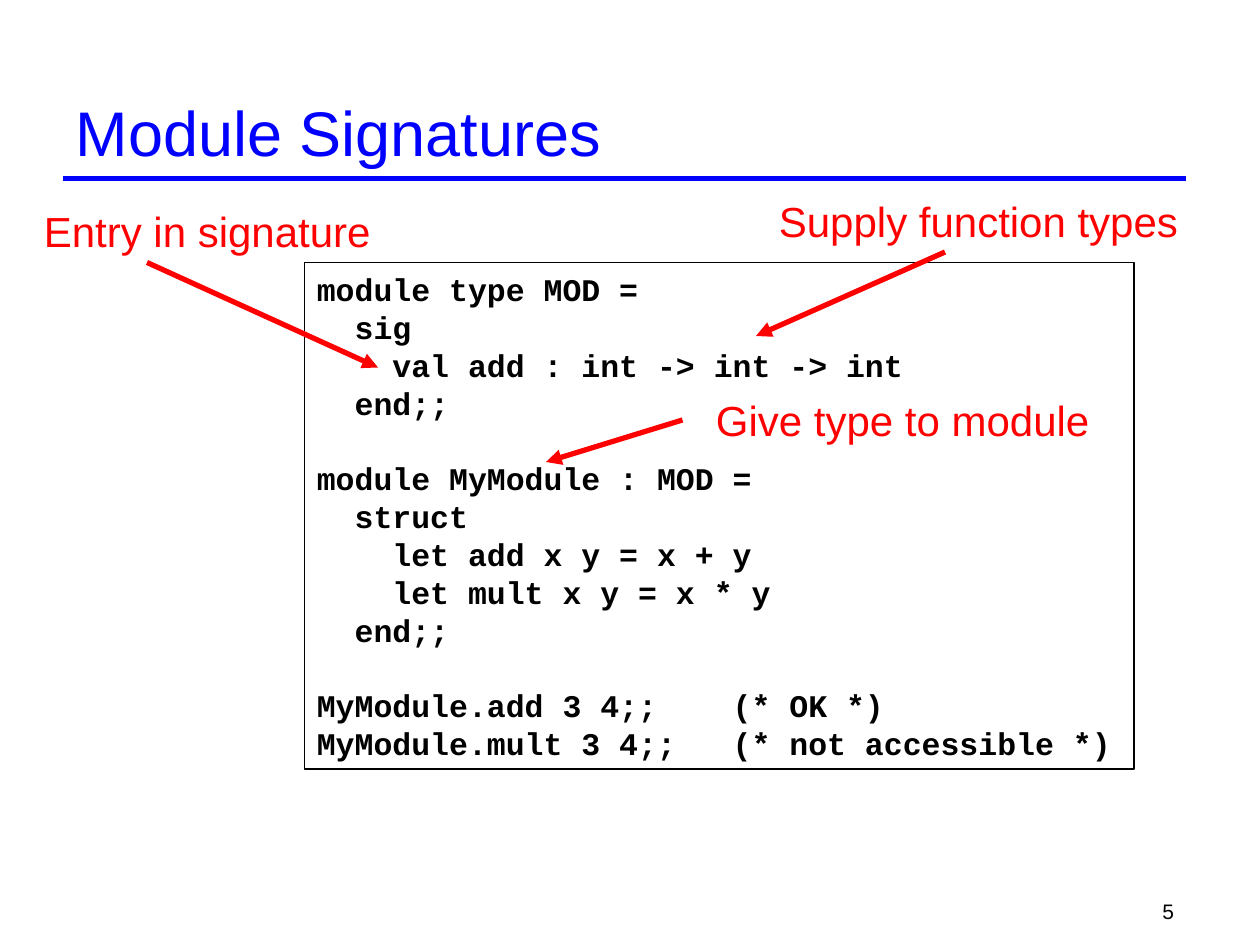
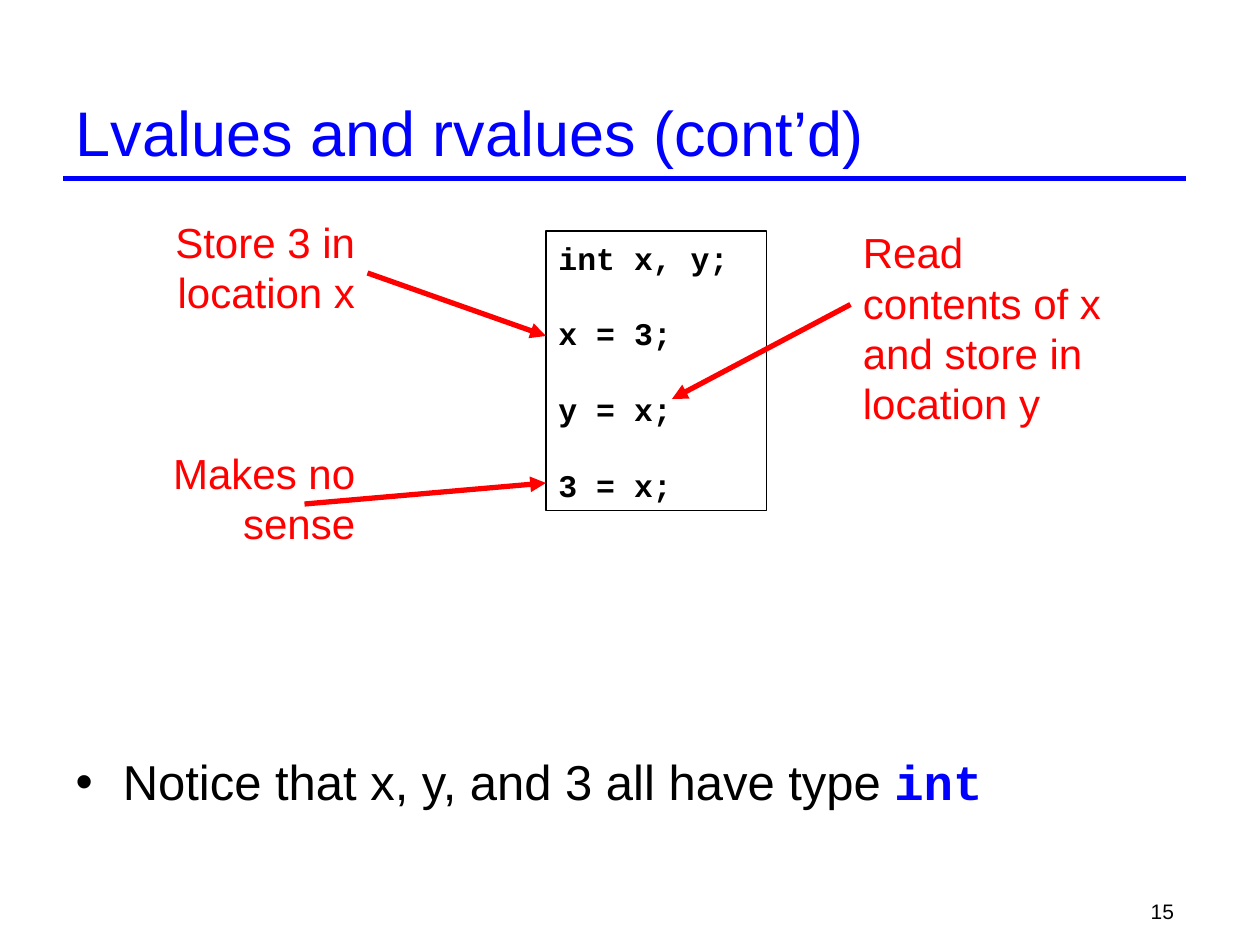
from lxml import etree
from pptx import Presentation
from pptx import util as u
from pptx.dml.color import RGBColor
from pptx.enum import shapes, text
from pptx.oxml.ns import qn

PX = 9525
BLUE = RGBColor(0x00, 0x00, 0xFF)
RED = RGBColor(0xFF, 0x00, 0x00)
BLACK = RGBColor(0x00, 0x00, 0x00)
SANS, MONO = "Arial", "Courier New"
LEADING = 1.2
LEFT, WIDTH = 48, 856
TITLE_BOX = (LEFT, 64, WIDTH, 72)
NUMBER_BOX = (704, 680, 200, 24)
TITLE_ONLY, TITLE_AND_BODY = 5, 1

SIGNATURE_CODE = """module type MOD =
  sig
    val add : int -> int -> int
  end;;

module MyModule : MOD =
  struct
    let add x y = x + y
    let mult x y = x * y
  end;;

MyModule.add 3 4;;    (* OK *)
MyModule.mult 3 4;;   (* not accessible *)"""

ASSIGNMENT_CODE = """int x, y;

x = 3;

y = x;

3 = x;"""


def emu(box):
    """Turn px lengths into EMU."""
    return [u.Emu(n * PX) for n in box]


def add_run(p, content, size=24, color=BLACK, font=SANS, bold=False):
    """Add one formatted run to a paragraph."""
    r = p.add_run()
    r.text = content
    r.font.size, r.font.name, r.font.bold = u.Pt(size), font, bold
    r.font.color.rgb = color


def write(tf, content, size=24, align=text.PP_ALIGN.LEFT,
          anchor=text.MSO_ANCHOR.TOP, **look):
    """Write lines as paragraphs, turning an empty line into space before the next."""
    tf.word_wrap = True
    tf.auto_size = text.MSO_AUTO_SIZE.NONE
    tf.vertical_anchor = anchor
    p, gap = None, 0
    for line in content.split("\n"):
        if not line:
            gap += size * LEADING
            continue
        p = tf.add_paragraph() if p is not None else tf.paragraphs[0]
        p.alignment = align
        p.line_spacing = u.Pt(size * LEADING)
        p.space_before, gap = u.Pt(gap), 0
        add_run(p, line, size, **look)
    return p


def place(sp, box):
    """Move a placeholder to a box."""
    sp.left, sp.top, sp.width, sp.height = emu(box)


def line(s, start, end, color, arrow=False):
    """Draw a 3 pt line, with an arrowhead at its end if asked."""
    sp = s.shapes.add_connector(shapes.MSO_CONNECTOR.STRAIGHT, *emu(start + end))
    sp.line.color.rgb = color
    sp.line.width = u.Pt(3)
    if arrow:
        etree.SubElement(sp.line._get_or_add_ln(), qn("a:tailEnd"), type="triangle")
    etree.SubElement(sp._element.spPr, qn("a:effectLst"))


def text_box(s, box, content, **look):
    """Add a text box."""
    write(s.shapes.add_textbox(*emu(box)).text_frame, content, **look)


def code_box(s, box, code):
    """Add an outlined box of code."""
    sp = s.shapes.add_shape(shapes.MSO_SHAPE.RECTANGLE, *emu(box))
    sp.shadow.inherit = False
    sp.fill.background()
    sp.line.color.rgb = BLACK
    sp.line.width = u.Pt(1)
    sp.text_frame.margin_top = u.Emu(6 * PX)
    write(sp.text_frame, code, size=18, font=MONO, bold=True)


def callout(s, box, content, start, end, align=text.PP_ALIGN.LEFT):
    """Add a red label and the arrow that belongs to it."""
    text_box(s, box, content, color=RED, align=align)
    line(s, start, end, RED, arrow=True)


def framed_slide(prs, layout, title, number):
    """Add a slide with title, rule and page number."""
    s = prs.slides.add_slide(prs.slide_layouts[layout])
    line(s, (LEFT, 136), (LEFT + WIDTH, 136), BLUE)
    place(s.shapes.title, TITLE_BOX)
    write(s.shapes.title.text_frame, title, size=36, color=BLUE,
          anchor=text.MSO_ANCHOR.MIDDLE)
    text_box(s, NUMBER_BOX, str(number), size=12, align=text.PP_ALIGN.RIGHT)
    return s


def signatures_slide(prs):
    """Build the slide on module signatures."""
    s = framed_slide(prs, TITLE_ONLY, "Module Signatures", 5)
    code_box(s, (232, 200, 632, 386), SIGNATURE_CODE)
    callout(s, (24, 152, 288, 48), "Entry in signature", (112, 200), (288, 280))
    callout(s, (584, 144, 328, 48), "Supply function types", (720, 192), (576, 256))
    callout(s, (536, 296, 312, 48), "Give type to module", (520, 320), (416, 352))


def lvalues_slide(prs):
    """Build the slide on lvalues and rvalues."""
    s = framed_slide(prs, TITLE_AND_BODY, "Lvalues and rvalues (cont’d)", 15)
    body = s.placeholders[1]
    place(body, (LEFT, 568, WIDTH, 104))
    p = write(body.text_frame, "Notice that x, y, and 3 all have type ", size=28)
    add_run(p, "int", 28, BLUE, MONO, True)
    code_box(s, (416, 176, 168, 213), ASSIGNMENT_CODE)
    right = text.PP_ALIGN.RIGHT
    callout(s, (64, 160, 216, 86), "Store 3 in\nlocation x", (280, 208), (416, 256), right)
    callout(s, (648, 168, 216, 163), "Read contents of x and store in location y",
            (648, 232), (512, 304))
    callout(s, (64, 336, 216, 86), "Makes no sense", (232, 384), (416, 368), right)


def main():
    """Build and save the slides."""
    prs = Presentation()
    prs.slide_width, prs.slide_height = emu((960, 720))
    signatures_slide(prs)
    lvalues_slide(prs)
    prs.save("out.pptx")


if __name__ == "__main__":
    main()
